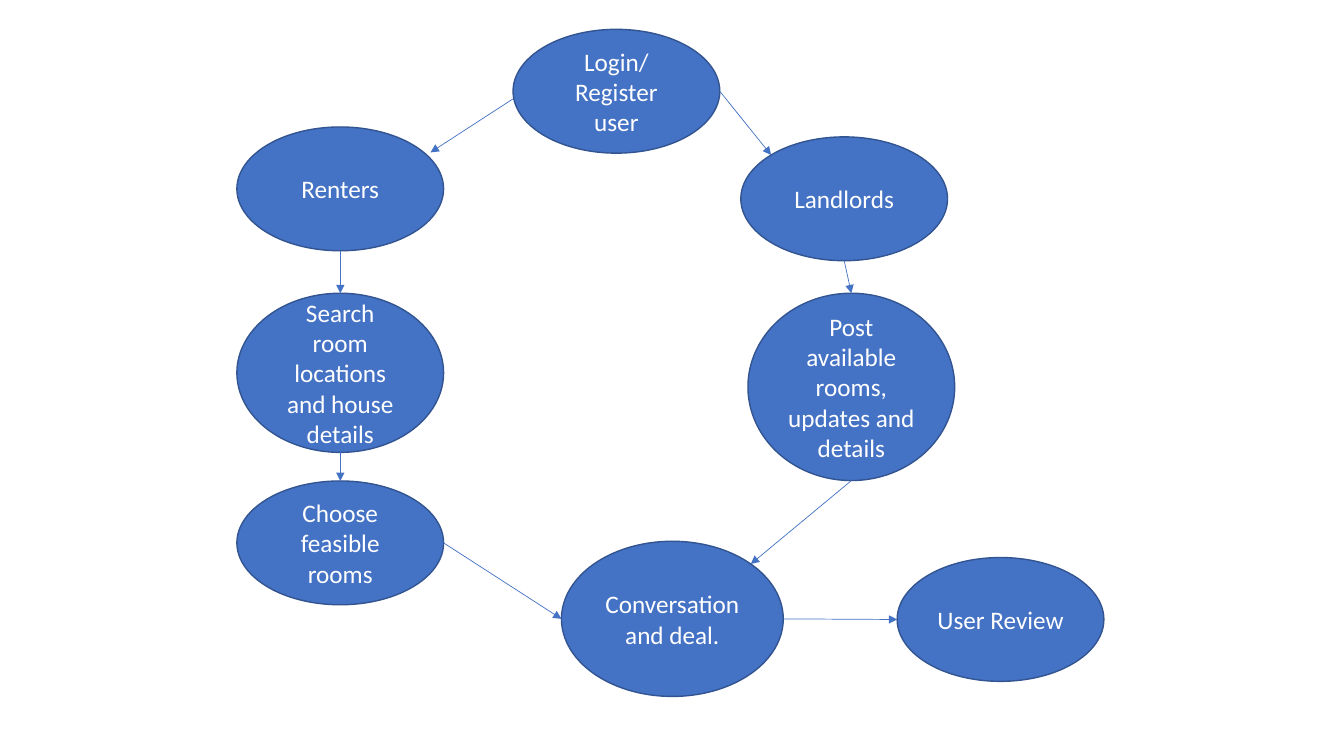
"""Build a flow chart slide of a room rental service."""
from math import cos, radians, sin
from pptx import Presentation
from pptx.dml.color import RGBColor
from pptx.enum.shapes import MSO_CONNECTOR, MSO_SHAPE
from pptx.enum.text import MSO_ANCHOR, PP_ALIGN
from pptx.oxml.ns import qn
from pptx.util import Cm, Pt
from lxml.etree import SubElement


def paint(form, color):
    form.solid()
    form.fore_color.rgb = RGBColor.from_string(color)


def site(oval, index):
    angle = radians(90 + 45 * index)
    x = oval.left + oval.width / 2 * (1 + cos(angle))
    y = oval.top + oval.height / 2 * (1 - sin(angle))
    return round(x), round(y)


BLUE, EDGE, WHITE = "4472C4", "325491", "FFFFFF"
WIDE, HIGH = 5.21, 3.12
TOP, LEFT, BOTTOM, RIGHT = 0, 2, 4, 6
NW, NE = 1, 7

deck = Presentation()
deck.slide_width, deck.slide_height = Cm(33.87), Cm(19.05)
slide = deck.slides.add_slide(deck.slide_layouts[6])

steps = {
    "login": ("Login/\nRegister user", 12.93, 0.74, WIDE, HIGH),
    "search": ("Search room locations and house details", 5.97, 7.39, WIDE, 4.01),
    "renter": ("Renters", 5.97, 3.2, WIDE, HIGH),
    "choose": ("Choose feasible rooms", 5.97, 12.12, WIDE, HIGH),
    "owner": ("Landlords", 18.67, 3.45, WIDE, HIGH),
    "deal": ("Conversation and deal.", 14.15, 13.64, 5.59, 3.91),
    "post": ("Post available rooms, updates and details", 18.85, 7.39, WIDE, 4.72),
    "review": ("User Review", 22.61, 14.05, WIDE, HIGH),
}
style = {"name": "Calibri", "size": Pt(18)}
ovals = {}
for key, (text, *box) in steps.items():
    oval = slide.shapes.add_shape(MSO_SHAPE.OVAL, *map(Cm, box))
    oval.shadow.inherit = False
    paint(oval.fill, BLUE)
    paint(oval.line.fill, EDGE)
    oval.line.width = Pt(1)
    frame = oval.text_frame
    frame.text = text
    frame.word_wrap = True
    frame.vertical_anchor = MSO_ANCHOR.MIDDLE
    for para in frame.paragraphs:
        para.alignment = PP_ALIGN.CENTER
        for name, value in style.items():
            setattr(para.font, name, value)
        paint(para.font.fill, WHITE)
    ovals[key] = oval

links = [
    ("login", RIGHT, "owner", NW),
    ("renter", BOTTOM, "search", TOP),
    ("owner", BOTTOM, "post", TOP),
    ("search", BOTTOM, "choose", TOP),
    ("choose", RIGHT, "deal", LEFT),
    ("post", BOTTOM, "deal", NE),
    ("deal", RIGHT, "review", LEFT),
]
paths = [(Cm(12.93), Cm(2.49), Cm(10.85), Cm(3.84), ())]
for start, out, end, into in links:
    first, last = ovals[start], ovals[end]
    joints = (("a:stCxn", first, out), ("a:endCxn", last, into))
    paths.append((*site(first, out), *site(last, into), joints))

for *ends, joints in paths:
    arrow = slide.shapes.add_connector(MSO_CONNECTOR.STRAIGHT, *ends)
    paint(arrow.line.fill, BLUE)
    arrow.line.width = Pt(0.5)
    props = arrow._element.spPr
    SubElement(props.find(qn("a:ln")), qn("a:tailEnd"), type="triangle")
    SubElement(props, qn("a:effectLst"))
    hold = arrow._element.find(".//" + qn("p:cNvCxnSpPr"))
    for tag, oval, index in joints:
        SubElement(hold, qn(tag), id=str(oval.shape_id), idx=str(index))

deck.save("out.pptx")
